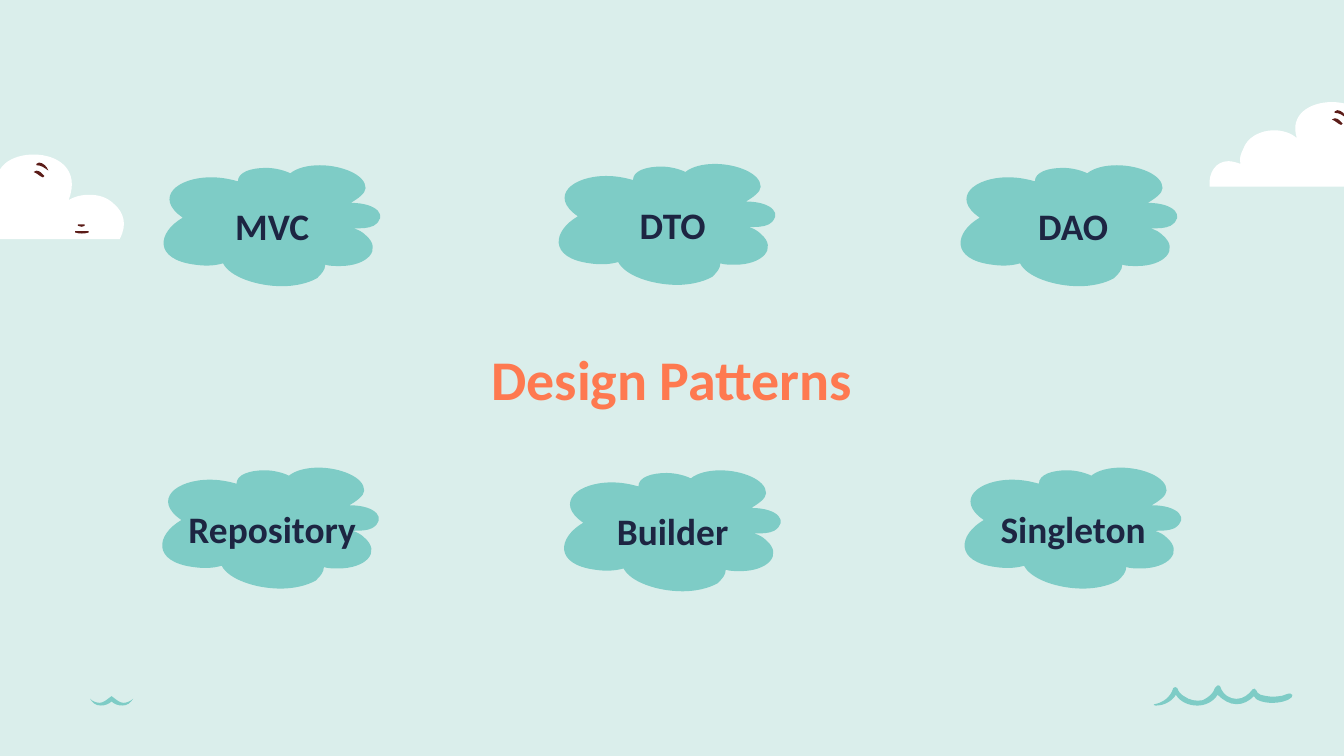
"""Build the Design Patterns slide from outlines given in hundredths of an inch."""
from pptx import Presentation, util as u
from pptx.dml import color
from pptx.enum import text
from pptx.oxml import ns

TITLE = ("Design Patterns", (81, 250, 838, 63), 30, "FE7950")
PATTERNS = [
    [("MVC", 114, 123), ("DTO", 408, 122), ("DAO", 707, 123)],
    [("Repository", 113, 348), ("Builder", 412, 350), ("Singleton", 710, 348)],
]
LABEL_LEFT, LABEL_PITCH, LABEL_DROP = 90, 298, 22
LABEL_WIDTH, LABEL_HEIGHT = 225, 46
MINT, TEAL, WHITE, BROWN, NAVY = "DAEEEB", "7ECCC6", "FFFFFF", "5B1C18", "1D2542"

PUFF = [
    (124, 0), (115, 0, 107, 2, 102, 6), (98, 4, 91, 2, 84, 2),
    (73, 2, 63, 5, 63, 12), (56, 10, 50, 9, 43, 9), (18, 9, 0, 24, 22, 39),
    (3, 50, 0, 70, 31, 74), (38, 75, 45, 75, 52, 73),
    (57, 83, 77, 90, 96, 90), (105, 90, 115, 88, 122, 84), (125, 81, 128, 78, 128, 74),
    (131, 75, 135, 75, 139, 75), (159, 75, 171, 63, 158, 52),
    (156, 50, 153, 48, 149, 47), (155, 47, 160, 47, 164, 45),
    (175, 38, 167, 28, 147, 28), (152, 25, 158, 21, 158, 17), (158, 7, 140, 0, 124, 0),
]
CLOUD = [
    (92, 0), (76, 0, 60, 9, 66, 27), (62, 23, 55, 21, 49, 21), (39, 21, 29, 26, 26, 35),
    (24, 39, 23, 42, 24, 46), (21, 45, 18, 44, 15, 44), (6, 44, 0, 52, 1, 63), (156, 63),
    (162, 52, 159, 43, 152, 37), (147, 32, 141, 30, 133, 30), (128, 30, 123, 31, 118, 34),
    (127, 11, 110, 0, 92, 0),
]
LONG_CREASE = [(96, 6), (94, 7), (94, 8), (98, 8, 100, 10, 103, 12), (102, 9, 99, 6, 96, 6)]
SHORT_CREASE = [(94, 12), (92, 13), (95, 14, 96, 16, 99, 17), (100, 16), (98, 14, 97, 12, 94, 12)]
LONG_DASH = [(123, 57), (123, 58), (126, 59, 130, 59, 133, 58), (133, 57)]
SHORT_DASH = [(125, 52), (125, 53), (127, 54, 129, 54, 130, 53), (130, 52)]
LONG_WAVE = [
    (48, 0), (48, 0, 47, 1, 46, 2), (45, 6, 41, 9, 37, 11), (32, 12, 27, 11, 23, 8),
    (21, 7, 19, 5, 18, 2), (17, 1, 16, 1, 15, 2), (13, 9, 7, 13, 1, 14),
    (0, 14, 0, 15, 2, 15), (8, 15, 14, 12, 17, 7), (20, 12, 26, 15, 33, 15),
    (39, 15, 45, 12, 48, 7), (52, 11, 57, 14, 62, 14), (67, 14, 71, 12, 75, 8),
    (76, 11, 82, 13, 89, 13), (93, 13, 100, 12, 103, 9), (104, 8, 104, 6, 102, 6),
    (99, 6, 97, 8, 94, 8), (89, 9, 84, 8, 80, 7), (78, 6, 77, 5, 77, 4),
    (76, 2, 75, 2, 74, 3), (71, 7, 67, 10, 62, 10), (57, 10, 52, 7, 50, 1),
    (50, 0, 49, 0, 48, 0),
]
SHORT_WAVE = [
    (16, 0), (12, 3, 10, 5, 7, 5), (5, 5, 2, 4, 0, 2), (2, 5, 4, 7, 8, 7),
    (11, 7, 14, 6, 16, 4), (18, 6, 21, 7, 24, 7), (28, 7, 30, 5, 32, 2),
    (30, 4, 27, 5, 25, 5), (22, 5, 20, 3, 16, 0),
]
CREASES = [(LONG_CREASE, BROWN), (SHORT_CREASE, BROWN)]
DASHES = [(LONG_DASH, BROWN), (SHORT_DASH, BROWN)]
SCENERY = [
    (899, 76, [(CLOUD, WHITE)] + CREASES),
    (-67, 115, [(CLOUD, WHITE)] + CREASES + DASHES),
    (858, 510, [(LONG_WAVE, TEAL)]),
    (67, 518, [(SHORT_WAVE, TEAL)]),
]


def length(n):
    return u.Cm(n * 0.0254)


def paint(fill, value):
    fill.solid()
    fill.fore_color.rgb = color.RGBColor.from_string(value)


def bend(sp, outline):
    geometry = next(sp._element.iter(ns.qn("a:path")))
    lines = iter(geometry.findall(ns.qn("a:lnTo")))
    for seg in outline[1:]:
        first = next(lines)
        if len(seg) == 6:
            first.tag = ns.qn("a:cubicBezTo")
            for line in (next(lines), next(lines)):
                first.append(line[0])
                geometry.remove(line)


def draw(s, outline, left, top, value):
    start, *rest = [(seg[i], seg[i + 1]) for seg in outline for i in range(0, len(seg), 2)]
    fb = s.shapes.build_freeform(*start, scale=length(1))
    fb.add_line_segments(rest, close=True)
    sp = fb.convert_to_shape(length(left), length(top))
    bend(sp, outline)
    sp.shadow.inherit = False
    paint(sp.fill, value)
    sp.line.fill.background()


def write(sp, wording, box, size, value):
    sp.left, sp.top, sp.width, sp.height = map(length, box)
    tf = sp.text_frame
    tf.word_wrap = True
    tf.auto_size = text.MSO_AUTO_SIZE.NONE
    tf.vertical_anchor = text.MSO_ANCHOR.MIDDLE
    tf.margin_left = tf.margin_right = tf.margin_top = tf.margin_bottom = length(10)
    p = tf.paragraphs[0]
    p.text = wording
    p.alignment = text.PP_ALIGN.CENTER
    p.font.name, p.font.size, p.font.bold = "Calibri", u.Pt(size), True
    paint(p.font.fill, value)


def main():
    prs = Presentation()
    prs.slide_width, prs.slide_height = length(1000), length(562.5)
    s = prs.slides.add_slide(prs.slide_layouts[5])
    paint(s.background.fill, MINT)
    for left, top, parts in SCENERY:
        for outline, value in parts:
            draw(s, outline, left, top, value)
    write(s.shapes.title, *TITLE)
    for row in PATTERNS:
        for col, (name, left, top) in enumerate(row):
            draw(s, PUFF, left, top, TEAL)
            box = (LABEL_LEFT + col * LABEL_PITCH, top + LABEL_DROP, LABEL_WIDTH, LABEL_HEIGHT)
            write(s.shapes.add_textbox(0, 0, 0, 0), name, box, 20, NAVY)
    prs.save("out.pptx")


if __name__ == "__main__":
    main()
